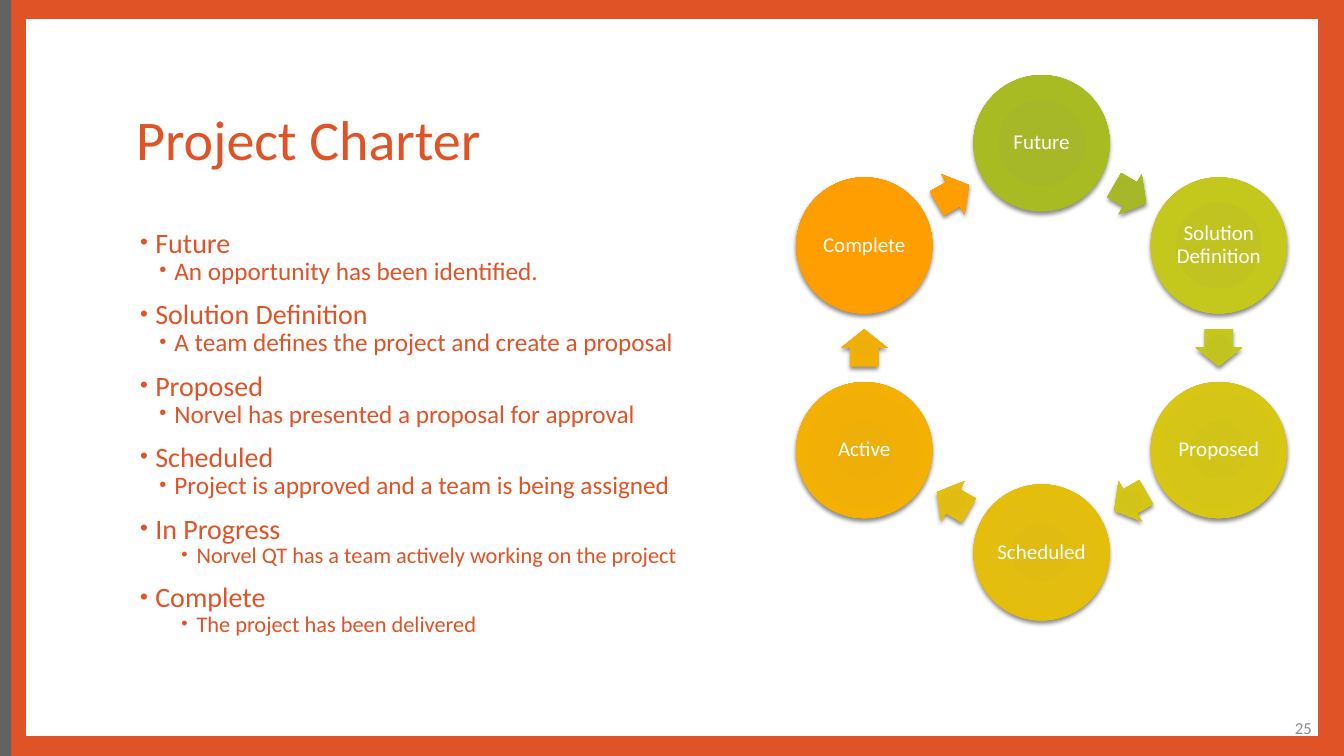
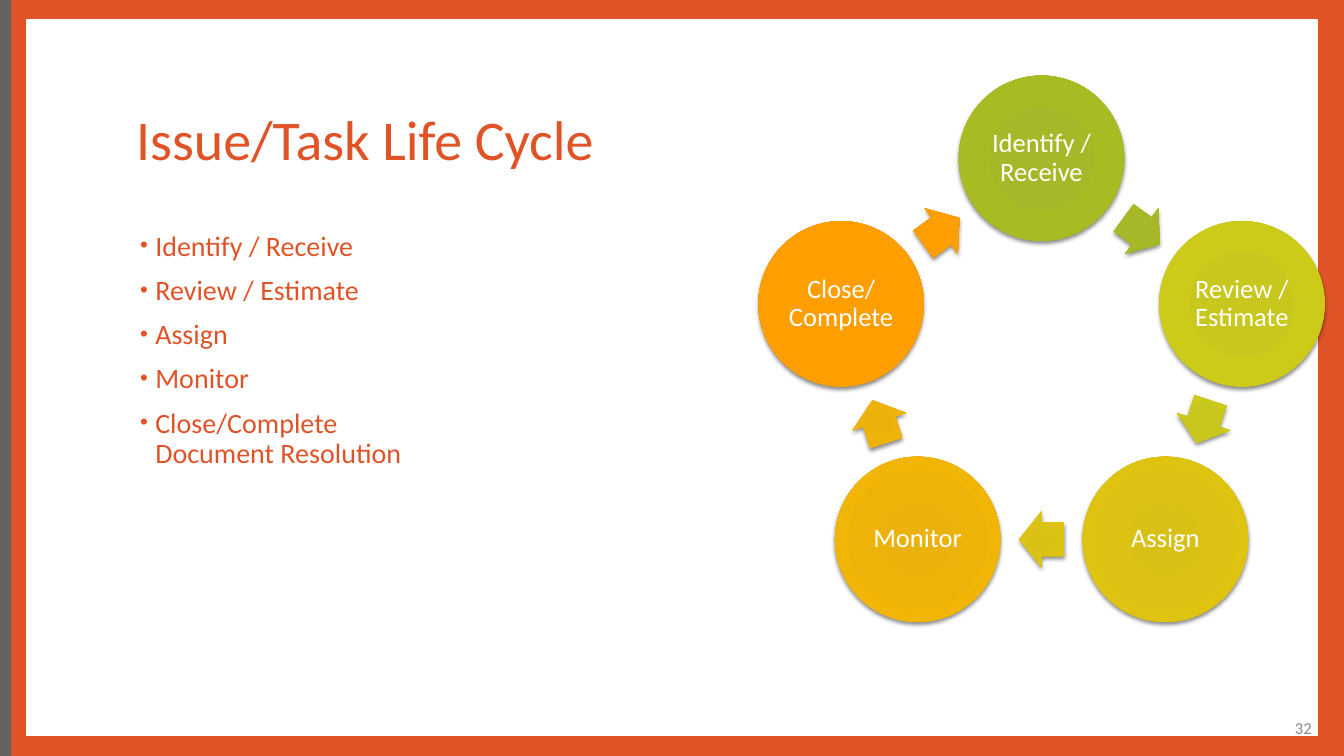
import copy
import math

import pptx
import pptx.dml.color
import pptx.enum.shapes
import pptx.enum.text
import pptx.oxml
import pptx.oxml.ns
import pptx.util

Inches = pptx.util.Inches
Pt = pptx.util.Pt
SHAPE = pptx.enum.shapes.MSO_SHAPE
ALIGN = pptx.enum.text.PP_ALIGN
ANCHOR = pptx.enum.text.MSO_ANCHOR
qn = pptx.oxml.ns.qn

# Shared look
FONT = "Calibri"
ORANGE, WHITE, STRIP_GREY, NUMBER_GREY = "DF5327", "FFFFFF", "626262", "8C8C8C"
TITLE_BOX = (1.25, 0.67, 10.8, 1.48)
BODY_BOX = (1.25, 2.25, 10.8, 4.42)
NUMBER_BOX = (10, 7.02, 3.11, 0.4)

# Per list level: text size, left margin, space before, space after
LEVELS = [(20, 0.19, 10, 0), (18, 0.38, 1.5, 3), (16, 0.6, 1.5, 3)]

# Each page: list items are (level, text); stages are (label, gradient colours)
PAGES = [
    dict(
        title="Project Charter", number=25, line_spacing=0.8,
        items=[
            (0, "Future"),
            (1, "An opportunity has been identified."),
            (0, "Solution Definition"),
            (1, "A team defines the project and create a proposal"),
            (0, "Proposed"),
            (1, "Norvel has presented a proposal for approval"),
            (0, "Scheduled"),
            (1, "Project is approved and a team is being assigned"),
            (0, "In Progress"),
            (2, "Norvel QT has a team actively working on the project"),
            (0, "Complete"),
            (2, "The project has been delivered"),
        ],
        cycle=dict(center=(10.33, 3.45), radius=2.03, diameter=1.35, size=15),
        stages=[
            ("Future", "A6B727 A9BB23 A1B316"),
            ("Solution Definition", "C1C420 C5C81C BEC10E"),
            ("Proposed", "D2C319 D7C714 CFBF06"),
            ("Scheduled", "E0BB11 E5BE0C DBB400"),
            ("Active", "EFAF09 F5B103 E1A200"),
            ("Complete", "FE9E00 FE9E00 E78F00"),
        ],
    ),
    dict(
        title="Issue/Task Life Cycle", number=32, line_spacing=0.9,
        items=[
            (0, "Identify / Receive"),
            (0, "Review / Estimate"),
            (0, "Assign"),
            (0, "Monitor"),
            (0, "Close/Complete\vDocument Resolution"),
        ],
        cycle=dict(center=(10.33, 3.66), radius=2.09, diameter=1.64, size=19),
        stages=[
            ("Identify / Receive", "A6B727 A9BB23 A1B316"),
            ("Review / Estimate", "C8C71E CCCB1A C5C40C"),
            ("Assign", "D9C015 DEC310 D7BB01"),
            ("Monitor", "EBB20B F1B505 DFA700"),
            ("Close/ Complete", "FE9E00 FE9E00 E78F00"),
        ],
    ),
]


def rgb(color):
    return pptx.dml.color.RGBColor.from_string(color)


def format_runs(para, size, color):
    for span in para.runs:
        span.font.name = FONT
        span.font.size = Pt(size)
        span.font.color.rgb = rgb(color)


def add_xml(parent, fragment):
    namespace = pptx.oxml.ns.nsdecls("a")
    head, rest = fragment.split(">", 1)
    slash = "/" if head.endswith("/") else ""
    parent.append(pptx.oxml.parse_xml(
        f"{head.rstrip('/')} {namespace}{slash}>{rest}"))


def add_flat_shape(page, kind, box, color, outlined=False):
    shape = page.shapes.add_shape(kind, *map(Inches, box))
    shape.shadow.inherit = False
    shape.fill.solid()
    shape.fill.fore_color.rgb = rgb(color)
    if outlined:
        shape.line.color.rgb = rgb(color)
        shape.line.width = Pt(1)
    else:
        shape.line.fill.background()
    return shape


def prepare_layout(deck):
    """Set the background and the places of the title and the list."""
    background = deck.slide_master.background.fill
    background.solid()
    background.fore_color.rgb = rgb(ORANGE)
    layout = deck.slide_layouts[1]
    for index, box in enumerate((TITLE_BOX, BODY_BOX)):
        holder = layout.placeholders[index]
        holder.left, holder.top, holder.width, holder.height = map(Inches, box)
    return layout


def add_frame(deck, page):
    """Draw the panel and the strip, then hand them to the slide master."""
    panel = add_flat_shape(page, SHAPE.RECTANGLE, (0.27, 0.2, 12.8, 7.1),
                           WHITE, outlined=True)
    strip = add_flat_shape(page, SHAPE.RECTANGLE, (0, 0, 0.11, 7.5), STRIP_GREY)
    for index, shape in enumerate((panel, strip)):
        shape.element.xpath(".//p:cNvPr")[0].set("id", str(20 + index))
        deck.slide_master.shapes.element.insert(2 + index, shape.element)


def fill_title(page, text):
    frame = page.shapes.title.text_frame
    frame.text = text
    frame.vertical_anchor = ANCHOR.MIDDLE
    frame.auto_size = pptx.enum.text.MSO_AUTO_SIZE.NONE
    para = frame.paragraphs[0]
    para.alignment = ALIGN.LEFT
    para.line_spacing = 0.9
    format_runs(para, 40, ORANGE)


def fill_list(page, items, line_spacing):
    frame = page.placeholders[1].text_frame
    frame.auto_size = pptx.enum.text.MSO_AUTO_SIZE.NONE
    for index, (level, text) in enumerate(items):
        para = frame.add_paragraph() if index else frame.paragraphs[0]
        size, margin, before, after = LEVELS[level]
        para.text = text
        para.level = level
        para.line_spacing = line_spacing
        para.space_before, para.space_after = Pt(before), Pt(after)
        format_runs(para, size, ORANGE)
        # Line breaks take the size of the text around them
        for line_break in para._p.findall(qn("a:br")):
            line_break.insert(0, copy.deepcopy(para.runs[0]._r.rPr))
        # Bullet and hanging indent
        properties = para._p.get_or_add_pPr()
        properties.set("marL", str(Inches(margin)))
        properties.set("indent", str(Inches(-0.15)))
        add_xml(properties, f'<a:buClr><a:srgbClr val="{ORANGE}"/></a:buClr>')
        add_xml(properties, '<a:buSzPct val="80000"/>')
        add_xml(properties, '<a:buChar char="•"/>')


def add_number(page, number):
    box = page.shapes.add_textbox(*map(Inches, NUMBER_BOX))
    frame = box.text_frame
    frame.word_wrap = True
    frame.vertical_anchor = ANCHOR.MIDDLE
    frame.text = str(number)
    frame.paragraphs[0].alignment = ALIGN.RIGHT
    format_runs(frame.paragraphs[0], 12, NUMBER_GREY)


def add_glossy_shape(page, kind, center, width, height, colors):
    """Add a shape around its center, with radial gradient and soft shadow."""
    box = (center[0] - width / 2, center[1] - height / 2, width, height)
    shape = add_flat_shape(page, kind, box, colors[0])
    properties = shape.element.spPr
    for tag in ("a:solidFill", "a:effectLst"):
        properties.remove(properties.find(qn(tag)))
    stops = "".join(
        f'<a:gs pos="{place}"><a:srgbClr val="{color}"/></a:gs>'
        for place, color in zip((0, 90000, 100000), colors))
    add_xml(properties,
            f'<a:gradFill rotWithShape="1"><a:gsLst>{stops}</a:gsLst>'
            '<a:path path="circle"><a:fillToRect l="100000" t="100000" '
            'r="100000" b="100000"/></a:path></a:gradFill>')
    # The fill stands before the line, the shadow after it
    line = properties.find(qn("a:ln"))
    line.addprevious(properties.find(qn("a:gradFill")))
    add_xml(properties,
            f'<a:effectLst><a:outerShdw blurRad="{Pt(3)}" dist="{Pt(2)}" '
            'dir="5400000" rotWithShape="0"><a:srgbClr val="000000">'
            '<a:alpha val="45000"/></a:srgbClr></a:outerShdw></a:effectLst>')
    return shape


def add_cycle(page, stages, center, radius, diameter, size):
    """Place the stages clockwise from the top, an arrow after each."""
    step = 360 / len(stages)

    def point(turn, distance):
        angle = math.radians(turn)
        return (center[0] + distance * math.sin(angle),
                center[1] - distance * math.cos(angle))

    arrow_radius = radius * math.cos(math.radians(step / 2))
    for index, (label, gradient) in enumerate(stages):
        colors = gradient.split()
        turn = index * step
        stage = add_glossy_shape(page, SHAPE.OVAL, point(turn, radius),
                                 diameter, diameter, colors)
        frame = stage.text_frame
        frame.word_wrap = True
        frame.vertical_anchor = ANCHOR.MIDDLE
        frame.margin_left = frame.margin_right = Inches(0.02)
        frame.margin_top = frame.margin_bottom = Inches(0.02)
        frame.text = label
        para = frame.paragraphs[0]
        para.alignment = ALIGN.CENTER
        para.line_spacing = 0.9
        format_runs(para, size, WHITE)

        middle = turn + step / 2
        arrow = add_glossy_shape(page, SHAPE.RIGHT_ARROW,
                                 point(middle, arrow_radius),
                                 0.27 * diameter, 0.34 * diameter, colors)
        arrow.rotation = middle
        arrow.adjustments[0] = 0.6
        arrow.adjustments[1] = 0.5


def add_cycle_page(page, title, number, line_spacing, items, cycle, stages):
    fill_title(page, title)
    fill_list(page, items, line_spacing)
    add_number(page, number)
    add_cycle(page, stages, **cycle)


def main():
    deck = pptx.Presentation()
    deck.slide_width, deck.slide_height = Inches(13.33), Inches(7.5)
    layout = prepare_layout(deck)
    for index, content in enumerate(PAGES):
        page = deck.slides.add_slide(layout)
        if index == 0:
            add_frame(deck, page)
        add_cycle_page(page, **content)
    deck.save("out.pptx")


if __name__ == "__main__":
    main()
